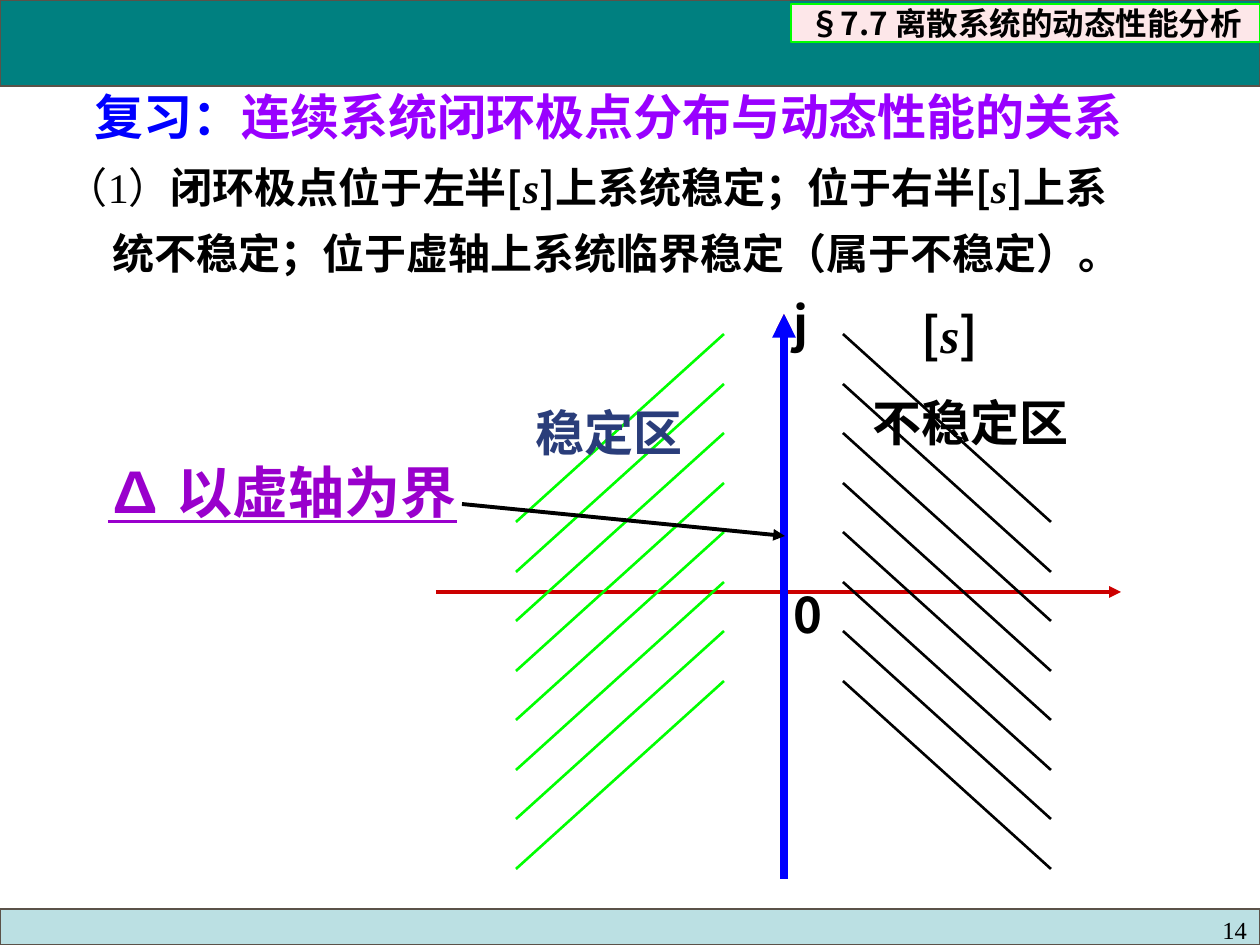
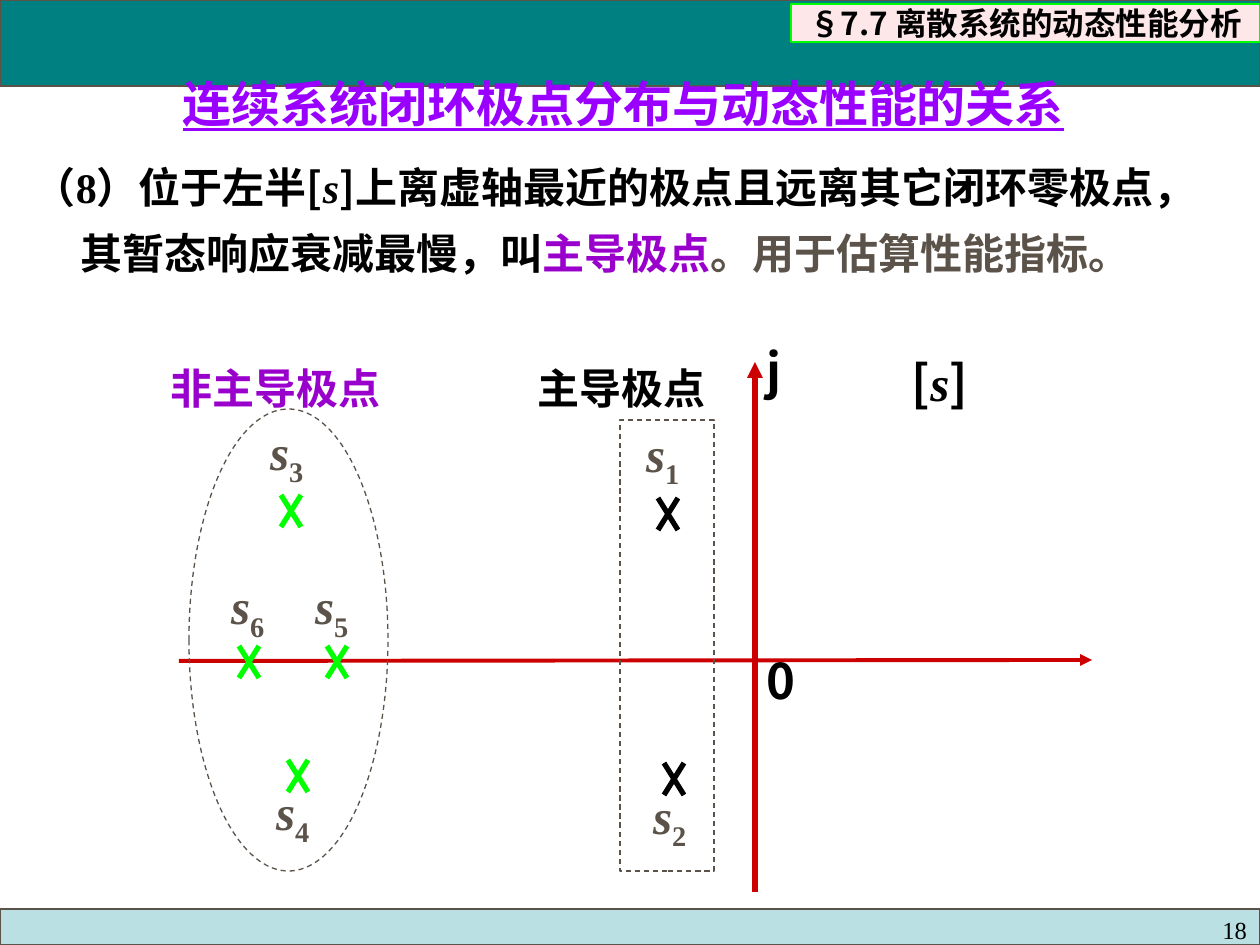
from dataclasses import dataclass
from typing import Any, NamedTuple

import lxml.etree
import pptx
import pptx.dml.color
import pptx.enum.dml
import pptx.enum.shapes
import pptx.enum.text
import pptx.oxml.ns
import pptx.util

PX_PER_INCH = 126
SANS, SERIF = "Noto Sans CJK SC", "Times New Roman"
COLOURS = {
    "band": "008080", "footer": "BBE0E3", "outline": "5B5249", "tag": "FDE7E9",
    "green": "00FF00", "black": "000000", "blue": "0000FF", "red": "CC0000",
    "title": "9900FF", "purple": "9900CC", "navy": "2A3D7A",
}
ALIGN = pptx.enum.text.PP_ALIGN
SHAPE = pptx.enum.shapes.MSO_SHAPE
GROW = pptx.enum.text.MSO_AUTO_SIZE.SHAPE_TO_FIT_TEXT
ROOMY = (13, 6)  # horizontal and vertical text insets


class Box(NamedTuple):
    left: int
    top: int
    width: int
    height: int


class Point(NamedTuple):
    x: int
    y: int


@dataclass
class Span:
    text: str
    size: int = 28
    colour: str = "black"
    name: str = SANS
    bold: bool = True
    italic: bool = False
    underline: bool = False
    baseline: int = 0


@dataclass
class Para:
    spans: list[Span]
    before: float = 17.5
    line_spacing: float = 1.0
    alignment: Any = ALIGN.LEFT
    indent: int = 0


@dataclass
class Axes:
    real_start: Point
    real_end: Point
    imaginary_start: Point
    imaginary_end: Point
    plane_label: Box
    imaginary_label: Box
    origin_label: Box


@dataclass
class Pole:
    number: int
    centre: Point
    label: Point
    colour: str


def px(length: float) -> int:
    return round(length * pptx.util.Inches(1) / PX_PER_INCH)


def rgb(colour: str) -> pptx.dml.color.RGBColor:
    return pptx.dml.color.RGBColor.from_string(COLOURS[colour])


def set_all(target: Any, values: dict[str, Any]) -> None:
    for name, value in values.items():
        setattr(target, name, value)


def place(shape: Any, box: Box) -> None:
    set_all(shape, {side: px(length) for side, length in box._asdict().items()})


def write_span(para: Any, span: Span) -> None:
    run = para.add_run()
    run.text = span.text
    set_all(run.font, {
        "size": pptx.util.Pt(span.size), "name": span.name, "bold": span.bold,
        "italic": span.italic, "underline": span.underline,
    })
    run.font.color.rgb = rgb(span.colour)
    properties = run._r.get_or_add_rPr()
    if span.baseline:
        properties.set("baseline", str(span.baseline * 1000))
    east_asian = lxml.etree.SubElement(properties, pptx.oxml.ns.qn("a:ea"))
    east_asian.set("typeface", SANS)


def write(shape: Any, paras: list[Para], insets: tuple[int, int] = (0, 0),
          anchor: Any = pptx.enum.text.MSO_ANCHOR.TOP, fit: Any = GROW) -> None:
    frame = shape.text_frame
    across, down = map(px, insets)
    set_all(frame, {
        "word_wrap": True, "auto_size": fit, "vertical_anchor": anchor,
        "margin_left": across, "margin_right": across,
        "margin_top": down, "margin_bottom": down,
    })
    for index, para in enumerate(paras):
        target = frame.add_paragraph() if index else frame.paragraphs[0]
        set_all(target, {
            "alignment": para.alignment, "line_spacing": para.line_spacing,
            "space_before": pptx.util.Pt(para.before),
        })
        if para.indent:
            target._p.get_or_add_pPr().set("indent", str(px(para.indent)))
        for span in para.spans:
            write_span(target, span)


def add_text(shapes: Any, box: Box, paras: list[Para], **options: Any) -> None:
    write(shapes.add_textbox(*map(px, box)), paras, **options)


def add_panel(shapes: Any, box: Box, fill: str = "", line: str = "outline",
              kind: Any = SHAPE.RECTANGLE, dashed: bool = False) -> Any:
    panel = shapes.add_shape(kind, *map(px, box))
    panel.shadow.inherit = False
    if fill:
        panel.fill.solid()
        panel.fill.fore_color.rgb = rgb(fill)
    else:
        panel.fill.background()
    panel.line.color.rgb = rgb(line)
    panel.line.width = pptx.util.Pt(0.75)
    if dashed:
        panel.line.dash_style = pptx.enum.dml.MSO_LINE.DASH
    return panel


def add_line(shapes: Any, start: Point, end: Point, colour: str,
             width: float, arrow: bool = False) -> None:
    line = shapes.add_connector(
        pptx.enum.shapes.MSO_CONNECTOR.STRAIGHT, *map(px, (*start, *end)))
    line.line.color.rgb = rgb(colour)
    line.line.width = pptx.util.Pt(width)
    if arrow:
        head = lxml.etree.SubElement(
            line.line._get_or_add_ln(), pptx.oxml.ns.qn("a:tailEnd"))
        head.set("type", "triangle")
    lxml.etree.SubElement(line._element.spPr, pptx.oxml.ns.qn("a:effectLst"))


def plane_spans(size: int) -> list[Span]:
    """The symbol [s] with an italic serif s."""
    return [Span("[", size), Span("s", size, name=SERIF, italic=True), Span("]", size)]


def add_axes(page: Any, axes: Axes) -> None:
    shapes = page.shapes.add_group_shape().shapes
    add_line(shapes, axes.real_start, axes.real_end, "red", 2.25, arrow=True)
    add_line(shapes, axes.imaginary_start, axes.imaginary_end, "red", 3, arrow=True)
    add_text(shapes, axes.plane_label, [Para(plane_spans(28))])
    add_text(shapes, axes.imaginary_label, [Para([Span("j")])])
    add_text(shapes, axes.origin_label, [Para([Span("0")])])


def add_pole(page: Any, pole: Pole) -> None:
    """A cross with its subscripted name."""
    shapes = page.shapes.add_group_shape().shapes
    x, y = pole.centre
    for lean in (10, -10):
        add_line(shapes, Point(x + lean, y - 16), Point(x - lean, y + 16), pole.colour, 3)
    symbol = Span("s", colour="outline", name=SERIF, italic=True)
    index = Span(str(pole.number), colour="outline", name=SERIF, baseline=-25)
    add_text(shapes, Box(*pole.label, 93, 67), [Para([symbol, index])])


def add_hatching(page: Any, top_x: int, bottom_x: int, colour: str) -> None:
    count, first, last, drop = 8, 334, 681, 188
    for index in range(count):
        y = round(first + (last - first) * index / (count - 1))
        add_line(page.shapes, Point(top_x, y), Point(bottom_x, y + drop), colour, 1.5)


def add_bands(page: Any, layout: Any) -> None:
    """Draw the two bands and hand them to the layout, so every page shows them."""
    for box, fill in ((Box(0, 909, 1260, 36), "footer"), (Box(0, 0, 1260, 86), "band")):
        layout.shapes._spTree.append(add_panel(page.shapes, box, fill)._element)


def start_page(page: Any, number: int, title_box: Box, title: list[Span]) -> None:
    place(page.shapes.title, title_box)
    write(page.shapes.title, [Para(title)])
    tag = add_panel(page.shapes, Box(791, 4, 469, 38), "tag", "green")
    write(tag, [Para([Span("§7.7 离散系统的动态性能分析", 18)], 0, alignment=ALIGN.CENTER)],
          anchor=pptx.enum.text.MSO_ANCHOR.MIDDLE)
    add_text(page.shapes, Box(1169, 909, 91, 36),
             [Para([Span(str(number), 14, name=SERIF, bold=False)], 0, alignment=ALIGN.RIGHT)],
             insets=ROOMY, fit=pptx.enum.text.MSO_AUTO_SIZE.NONE)


def add_statement(page: Any, box: Box, first: list[Span], second: list[Span]) -> None:
    add_text(page.shapes, box,
             [Para(first, 15, 0.8), Para(second, 15, 0.8, indent=47)], insets=ROOMY)


def build_stability_page(page: Any) -> None:
    start_page(page, 14, Box(95, 86, 1099, 59), [
        Span("复习：", colour="blue"),
        Span("连续系统闭环极点分布与动态性能的关系", colour="title")])
    add_axes(page, Axes(
        Point(436, 592), Point(1121, 592), Point(784, 810), Point(784, 314),
        Box(922, 305, 89, 59), Box(794, 294, 69, 59), Box(794, 585, 59, 59)))
    add_line(page.shapes, Point(784, 879), Point(784, 314), "blue", 4.5, arrow=True)
    add_hatching(page, 724, 516, "green")
    add_hatching(page, 843, 1051, "black")
    add_text(page.shapes, Box(536, 403, 189, 59), [Para([Span("稳定区", colour="navy")])])
    add_text(page.shapes, Box(873, 393, 228, 59), [Para([Span("不稳定区")])])
    add_statement(
        page, Box(53, 165, 1176, 120),
        [Span("（1）", 24, name=SERIF, bold=False), Span("闭环极点位于左半", 24),
         *plane_spans(24), Span("上系统稳定；位于右半", 24),
         *plane_spans(24), Span("上系", 24)],
        [Span("统不稳定；位于虚轴上系统临界稳定（属于不稳定）。", 24)])
    add_text(page.shapes, Box(95, 451, 410, 81),
             [Para([Span("∆ 以虚轴为界", 32, "purple", underline=True)], 20)], insets=ROOMY)
    add_line(page.shapes, Point(462, 504), Point(785, 536), "black", 2.25, arrow=True)


def build_dominant_poles_page(page: Any) -> None:
    start_page(page, 18, Box(183, 73, 973, 59), [
        Span("连续系统闭环极点分布与动态性能的关系", colour="title", underline=True)])
    add_axes(page, Axes(
        Point(179, 661), Point(1092, 660), Point(755, 892), Point(755, 362),
        Box(912, 353, 101, 59), Box(766, 341, 79, 59), Box(766, 651, 68, 59)))
    for pole in (
        Pole(5, Point(337, 662), Point(315, 576), "green"),
        Pole(6, Point(249, 662), Point(231, 576), "green"),
        Pole(1, Point(668, 514), Point(646, 423), "black"),
        Pole(2, Point(674, 779), Point(653, 785), "black"),
        Pole(3, Point(291, 511), Point(270, 421), "green"),
        Pole(4, Point(298, 776), Point(276, 781), "green"),
    ):
        add_pole(page, pole)
    add_panel(page.shapes, Box(189, 409, 199, 462), kind=SHAPE.OVAL, dashed=True)
    add_panel(page.shapes, Box(620, 420, 94, 451), dashed=True)
    for box, name, colour in ((Box(158, 357, 294, 63), "非主导极点", "purple"),
                              (Box(525, 357, 210, 63), "主导极点", "black")):
        add_text(page.shapes, box, [Para([Span(name, 24, colour, SERIF)], 15)], insets=ROOMY)
    add_statement(
        page, Box(21, 165, 1207, 120),
        [Span("（8）", 24, name=SERIF), Span("位于左半", 24), *plane_spans(24),
         Span("上离虚轴最近的极点且远离其它闭环零极点，", 24)],
        [Span("其暂态响应衰减最慢，叫", 24), Span("主导极点", 24, "purple", SERIF),
         Span("。用于估算性能指标。", 24, "outline")])


def main() -> None:
    deck = pptx.Presentation()
    set_all(deck, {"slide_width": px(1260), "slide_height": px(945)})
    title_only = deck.slide_layouts.get_by_name("Title Only")
    pages = [deck.slides.add_slide(title_only) for _ in range(2)]
    add_bands(pages[0], title_only)
    build_stability_page(pages[0])
    build_dominant_poles_page(pages[1])
    deck.save("out.pptx")


if __name__ == "__main__":
    main()
